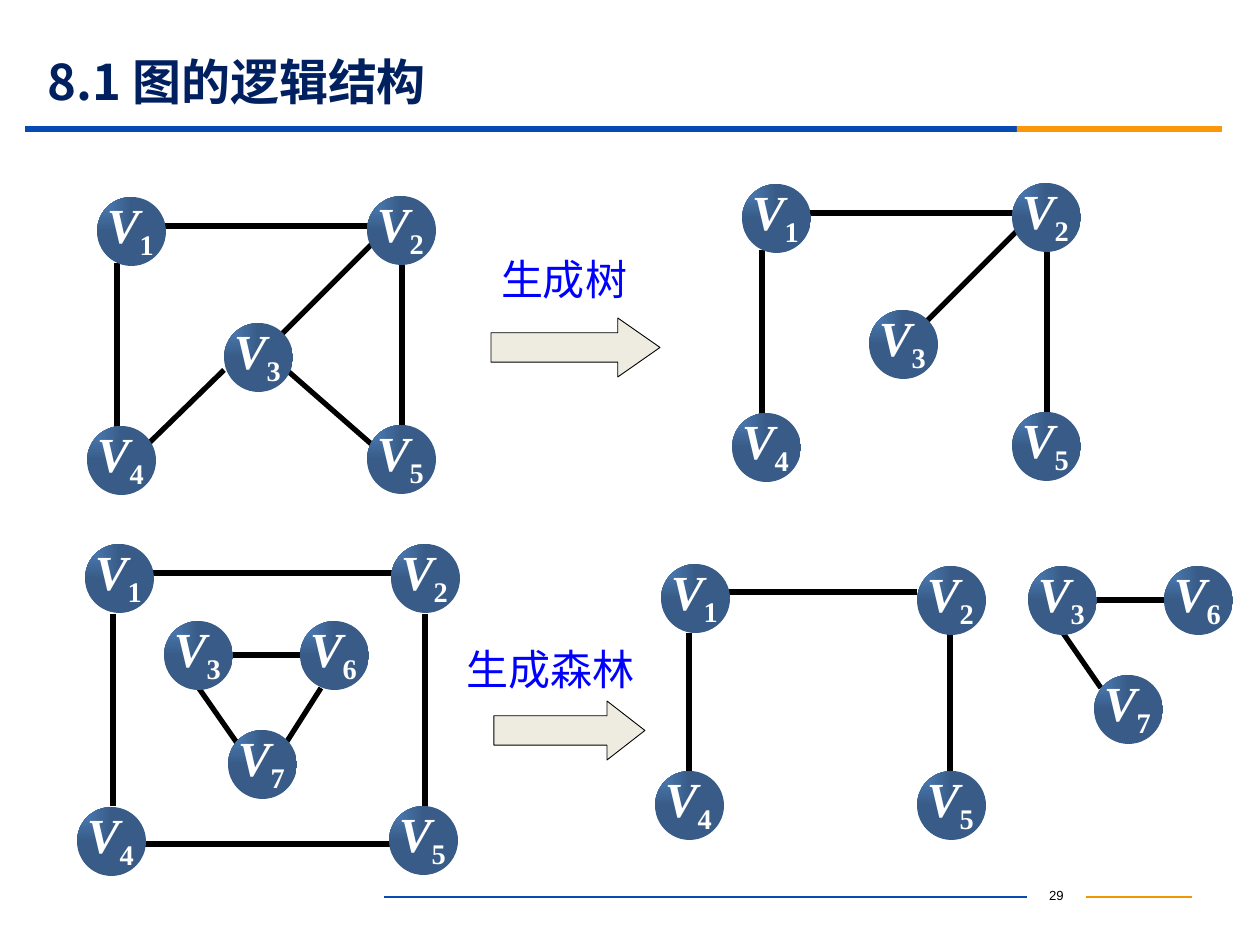
from dataclasses import dataclass

from pptx import Presentation
from pptx.dml.color import RGBColor
from pptx.enum.shapes import MSO_CONNECTOR as CONN, MSO_SHAPE as SHAPE
from pptx.enum.text import MSO_ANCHOR as ANCHOR, MSO_AUTO_SIZE as FIT, PP_ALIGN as ALIGN
from pptx.oxml import parse_xml
from pptx.oxml.ns import nsdecls, qn
from pptx.util import Emu, Pt


@dataclass(frozen=True)
class Theme:
    title: str = "002060"
    blue: str = "064BB2"
    orange: str = "FB9708"
    foot_orange: str = "F19500"
    black: str = "000000"
    white: str = "FFFFFF"
    label: str = "0000FF"
    arrow: str = "EEECE1"
    node: str = "4F81BD"
    cjk: str = "Noto Sans CJK SC"
    sans: str = "Arial"
    serif: str = "Times New Roman"
    title_size: float = 28
    node_size: float = 28
    label_size: float = 24
    page_size: float = 7.5


T = Theme()
NODE = 69

GRAPH_NODES = {1: (10, 1), 2: (280, 0), 3: (137, 127), 4: (0, 230), 5: (280, 229)}
TREE_EDGES = [(287, 46, 195, 138), (76, 30, 283, 30), (315, 66, 315, 236), (30, 67, 30, 234)]
GRAPH_EDGES = TREE_EDGES + [(137, 174, 58, 251), (202, 176, 290, 253)]

PARTS_NODES = {1: (8, 0), 2: (314, 0), 3: (87, 77), 4: (0, 263), 5: (312, 262),
               6: (223, 77), 7: (151, 186)}
PARTS_EDGES = [(68, 300, 315, 300), (73, 29, 319, 29), (348, 70, 348, 267),
               (36, 70, 36, 262), (155, 111, 224, 111), (121, 143, 160, 199),
               (244, 144, 209, 199)]

FOREST_NODES = {1: (6, 0), 2: (262, 2), 3: (373, 2), 4: (0, 207), 5: (262, 207),
                6: (509, 2), 7: (439, 111)}
FOREST_EDGES = [(73, 28, 262, 28), (295, 70, 295, 266), (34, 69, 34, 261),
                (441, 36, 512, 36), (408, 69, 446, 124)]


def px(*values):
    return [Emu(round(v * 914400 / 126)) for v in values]


def rgb(value):
    return RGBColor.from_string(value)


def add_run(p, text, color, **font):
    r = p.add_run()
    r.text = text
    r.font.color.rgb = rgb(color)
    for key, value in font.items():
        setattr(r.font, key, value)
    return r


def set_east_asian(r, face):
    r.font._element.append(parse_xml(f'<a:ea {nsdecls("a")} typeface="{face}"/>'))


def add_text(shapes, box, align, margins=(13, 6, 13, 6)):
    tf = shapes.add_textbox(*px(*box)).text_frame
    tf.word_wrap = True
    sides = ("margin_left", "margin_top", "margin_right", "margin_bottom")
    for side, margin in zip(sides, px(*margins)):
        setattr(tf, side, margin)
    p = tf.paragraphs[0]
    p.alignment = align
    return p


def add_line(shapes, ends, color, width):
    line = shapes.add_connector(CONN.STRAIGHT, *px(*ends))
    line.line.color.rgb = rgb(color)
    line.line.width = Pt(width)
    line._element.spPr.append(parse_xml(f'<a:effectLst {nsdecls("a")}/>'))


def add_shape(shapes, kind, box, fill=None):
    sp = shapes.add_shape(kind, *px(*box))
    sp.shadow.inherit = False
    sp.line.fill.background()
    if fill:
        sp.fill.solid()
        sp.fill.fore_color.rgb = rgb(fill)
    return sp


def add_node(shapes, x, y, number):
    sp = add_shape(shapes, SHAPE.OVAL, (x, y, NODE, NODE))
    sp.fill.background()
    props = sp._element.spPr
    props.replace(props.find(qn("a:noFill")), parse_xml(
        f'<a:gradFill {nsdecls("a")} rotWithShape="0"><a:gsLst>'
        f'<a:gs pos="0"><a:srgbClr val="{T.node}"/></a:gs>'
        f'<a:gs pos="100000"><a:srgbClr val="{T.node}"><a:shade val="46275"/></a:srgbClr></a:gs>'
        '</a:gsLst><a:path path="rect"><a:fillToRect r="100000" b="100000"/></a:path>'
        '</a:gradFill>'))
    p = add_text(shapes, (x + 9, y - 7, 64, 82), ALIGN.JUSTIFY, (1, 4, 0, 1))
    font = {"name": T.serif, "size": Pt(T.node_size), "bold": True}
    add_run(p, "V", T.white, italic=True, **font)
    sub = add_run(p, str(number), T.white, italic=False, **font)
    sub.font._element.set("baseline", "-25000")


def add_graph(slide, left, top, nodes, edges):
    shapes = slide.shapes.add_group_shape().shapes
    for x1, y1, x2, y2 in edges:
        add_line(shapes, (left + x1, top + y1, left + x2, top + y2), T.black, 3)
    for number, (x, y) in nodes.items():
        add_node(shapes, left + x, top + y, number)


def add_step(slide, left, top, width, text, arrow, head):
    shapes = slide.shapes.add_group_shape().shapes
    dx, dy, w, h = arrow
    sp = add_shape(shapes, SHAPE.RIGHT_ARROW, (left + dx, top + dy, w, h), T.arrow)
    sp.adjustments[0] = 0.5
    sp.adjustments[1] = head
    sp.line.color.rgb = rgb(T.black)
    sp.line.width = Pt(0.5)
    p = add_text(shapes, (left, top, width, 63), ALIGN.CENTER)
    r = add_run(p, text, T.label, name=T.sans, size=Pt(T.label_size))
    set_east_asian(r, T.cjk)


def add_header(slide, left, top):
    title = slide.shapes.title
    title.left, title.top, title.width, title.height = px(left + 10, top, 1134, 54)
    tf = title.text_frame
    for key, value in {"auto_size": FIT.NONE, "vertical_anchor": ANCHOR.MIDDLE,
                       "word_wrap": True}.items():
        setattr(tf, key, value)
    p = tf.paragraphs[0]
    p.alignment = ALIGN.LEFT
    r = add_run(p, "8.1 图的逻辑结构", T.title, name=T.cjk, size=Pt(T.title_size), bold=True)
    set_east_asian(r, T.cjk)
    for x, width, color in ((0, 992, T.blue), (992, 205, T.orange)):
        add_shape(slide.shapes, SHAPE.RECTANGLE, (left + x, top + 72, width, 6), color)


def add_footer(slide, left, top):
    y = top + 16
    add_line(slide.shapes, (left, y, left + 643, y), T.blue, 0.75)
    add_line(slide.shapes, (left + 702, y, left + 808, y), T.foot_orange, 0.75)
    p = add_text(slide.shapes, (left + 643, top, 59, 32), ALIGN.CENTER)
    add_run(p, "29", T.black, name=T.sans, size=Pt(T.page_size))


def main():
    prs = Presentation()
    prs.slide_width, prs.slide_height = px(1260, 945)
    slide = prs.slides.add_slide(prs.slide_layouts[5])
    add_header(slide, 25, 54)
    add_footer(slide, 384, 881)
    add_graph(slide, 77, 544, PARTS_NODES, PARTS_EDGES)
    add_graph(slide, 655, 564, FOREST_NODES, FOREST_EDGES)
    add_graph(slide, 87, 196, GRAPH_NODES, GRAPH_EDGES)
    add_graph(slide, 732, 183, GRAPH_NODES, TREE_EDGES)
    add_step(slide, 485, 248, 158, "生成树", (6, 70, 169, 59), 0.715)
    add_step(slide, 444, 638, 214, "生成森林", (50, 63, 151, 59), 0.643)
    prs.save("out.pptx")


if __name__ == "__main__":
    main()
